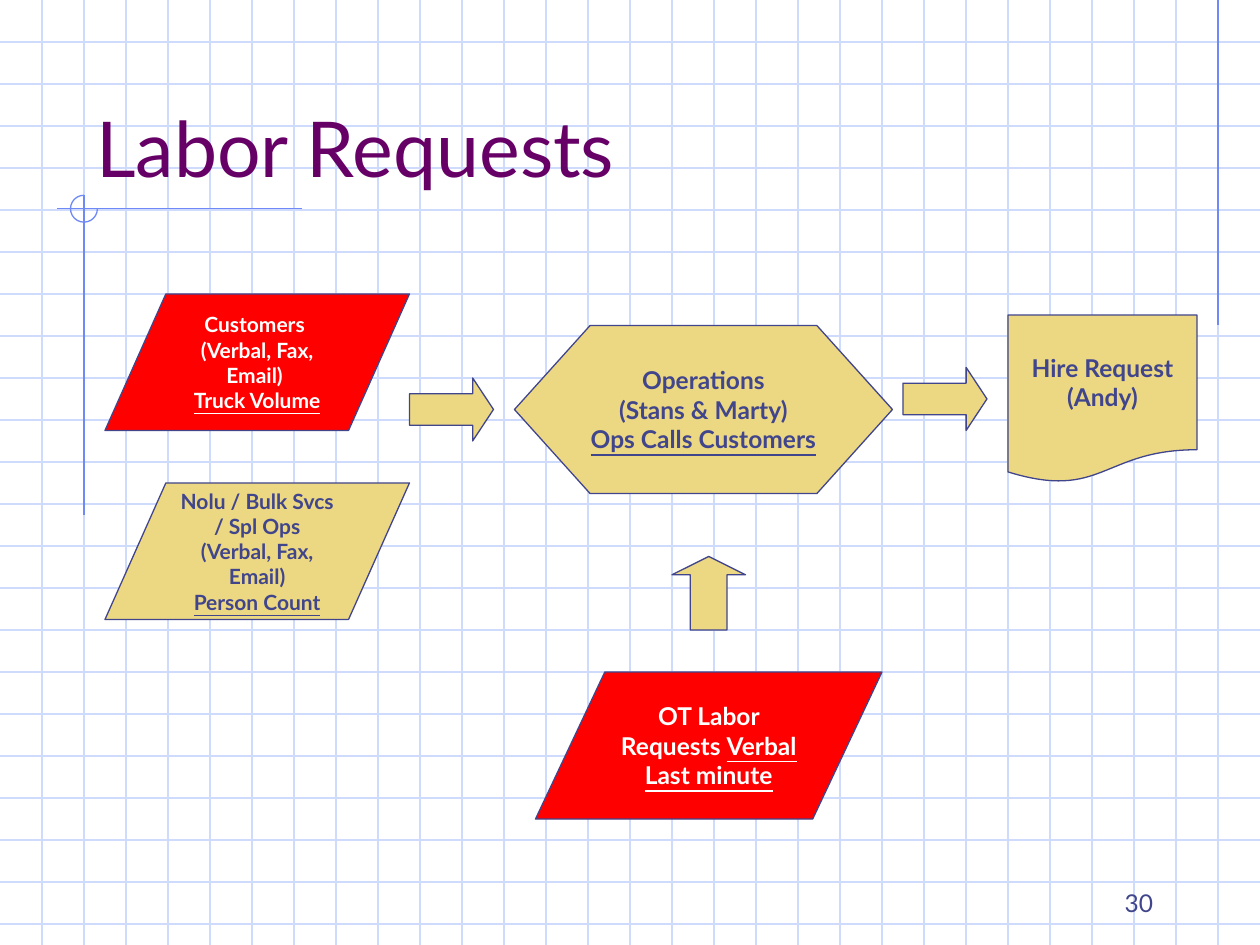
from lxml.etree import SubElement
from pptx import Presentation
from pptx.dml.color import RGBColor
from pptx.enum.shapes import MSO_CONNECTOR as Connector, MSO_SHAPE as Shape
from pptx.enum.text import MSO_ANCHOR as Anchor, PP_ALIGN as Align
from pptx.oxml.ns import qn
from pptx.util import Cm, Pt

WHITE = RGBColor(0xFF, 0xFF, 0xFF)
GRID_BLUE = RGBColor(0xCF, 0xDB, 0xFD)
ACCENT_BLUE = RGBColor(0x6F, 0x89, 0xF7)
NAVY = RGBColor(0x40, 0x45, 0x8C)
PURPLE = RGBColor(0x66, 0x00, 0x66)
RED = RGBColor(0xFF, 0x00, 0x00)
SAND = RGBColor(0xEC, 0xD8, 0x82)

FONT = "Lato"
COLUMNS, ROWS = 30, 22.5
LINE_WIDTH = Pt(0.75)


def grid(squares):
    return Cm(squares * 25.4 / COLUMNS)


def add_line(slide, start, end, color):
    points = [grid(value) for value in (*start, *end)]
    line = slide.shapes.add_connector(Connector.STRAIGHT, *points)
    line.line.color.rgb = color
    line.line.width = LINE_WIDTH
    SubElement(line._element.spPr, qn("a:effectLst"))


def add_background(slide):
    for row in range(1, int(ROWS) + 1):
        add_line(slide, (0, row), (COLUMNS, row), GRID_BLUE)
    for column in range(1, COLUMNS):
        add_line(slide, (column, 0), (column, ROWS), GRID_BLUE)
    add_line(slide, (29, 0), (29, 7.75), ACCENT_BLUE)
    add_line(slide, (7.2, 4.97), (1.36, 4.97), ACCENT_BLUE)
    add_line(slide, (2, 4.65), (2, 12.27), ACCENT_BLUE)
    add_shape(slide, Shape.ARC, (1.68, 4.65, 0.64, 0.64), None, ACCENT_BLUE, (0, 162))


def write_text(shape, lines, size, color, bold=False, align=Align.CENTER,
               anchor=Anchor.MIDDLE, wrap=True):
    frame = shape.text_frame
    frame.word_wrap = wrap
    frame.vertical_anchor = anchor
    for index, runs in enumerate(lines):
        paragraph = frame.add_paragraph() if index else frame.paragraphs[0]
        paragraph.alignment = align
        for text, underline in runs:
            run = paragraph.add_run()
            run.text = text
            run.font.name = FONT
            run.font.size = Pt(size)
            run.font.bold = bold
            run.font.underline = underline
            run.font.color.rgb = color


def add_shape(slide, kind, box, fill, outline=NAVY, adjustments=()):
    shape = slide.shapes.add_shape(kind, *map(grid, box))
    shape.shadow.inherit = False
    if fill is None:
        shape.fill.background()
    else:
        shape.fill.solid()
        shape.fill.fore_color.rgb = fill
    shape.line.color.rgb = outline
    shape.line.width = LINE_WIDTH
    for index, value in enumerate(adjustments):
        shape.adjustments[index] = value
    return shape


def add_step(slide, kind, box, lines, size=14, fill=SAND, color=NAVY, wrap=True):
    shape = add_shape(slide, kind, box, fill)
    write_text(shape, lines, size, color, bold=True, wrap=wrap)


def add_label(slide, box, text, size, color, align):
    label = slide.shapes.add_textbox(*map(grid, box))
    write_text(label, [[(text, False)]], size, color, align=align, anchor=Anchor.BOTTOM)


def main():
    presentation = Presentation()
    presentation.slide_width = Cm(25.4)
    presentation.slide_height = Cm(19.05)
    slide = presentation.slides.add_slide(presentation.slide_layouts[6])

    add_background(slide)
    add_label(slide, (2, 1, 25.5, 3.75), "Labor Requests", 44, PURPLE, Align.LEFT)

    add_step(slide, Shape.FLOWCHART_DATA, (2.5, 7, 7.25, 3.25),
             [[("Customers ", False)], [("(Verbal, Fax, Email) ", False)],
              [("Truck Volume", True)]], size=12, fill=RED, color=WHITE)
    add_step(slide, Shape.FLOWCHART_DOCUMENT, (24, 7.5, 4.5, 4),
             [[("Hire Request", False)], [("(Andy)", False)]], wrap=False)
    add_step(slide, Shape.FLOWCHART_PREPARATION, (12.25, 7.75, 9, 4),
             [[("Operations", False)], [("(Stans & Marty)", False)],
              [("Ops Calls Customers", True)]], wrap=False)
    add_step(slide, Shape.FLOWCHART_DATA, (12.75, 16, 8.25, 3.5),
             [[("OT Labor Requests ", False), ("Verbal", True)],
              [("Last minute", True)]], fill=RED, color=WHITE)
    add_step(slide, Shape.FLOWCHART_DATA, (2.5, 11.5, 7.25, 3.25),
             [[("Nolu / Bulk Svcs / Spl Ops", False)], [("(Verbal, Fax, Email)", False)],
              [("Person Count", True)]], size=12)

    for left, top in ((9.75, 9), (21.5, 8.75)):
        add_shape(slide, Shape.RIGHT_ARROW, (left, top, 2, 1.5), SAND,
                  adjustments=(0.5, 0.33))
    add_shape(slide, Shape.UP_ARROW, (16, 13.25, 1.75, 1.75), SAND,
              adjustments=(0.5, 0.25))

    add_label(slide, (21.5, 20.5, 6.25, 1.5), "30", 14, NAVY, Align.RIGHT)
    presentation.save("out.pptx")


if __name__ == "__main__":
    main()
